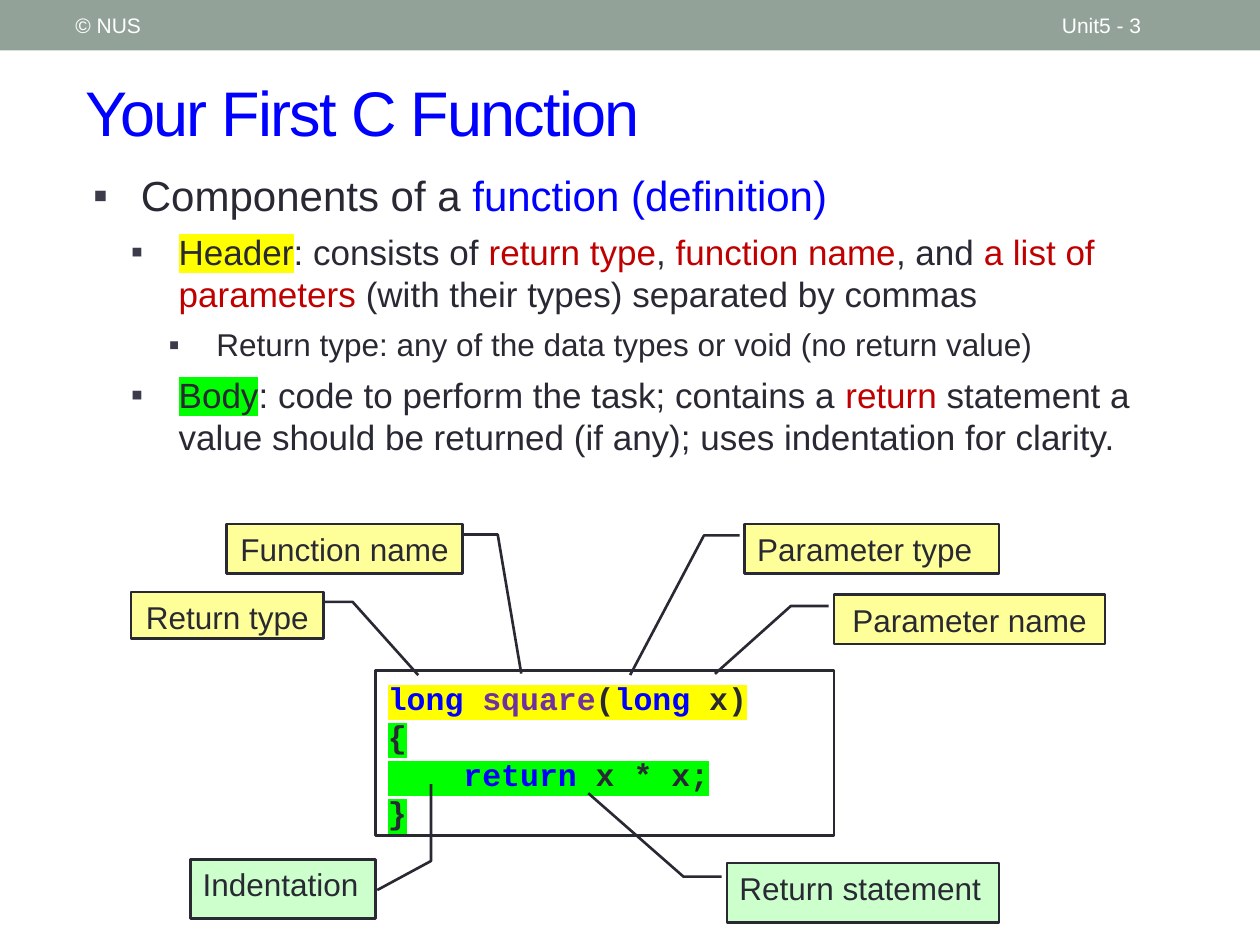
import lxml.etree
import pptx
import pptx.dml.color
import pptx.enum.shapes
import pptx.enum.text
import pptx.oxml.ns
import pptx.util

Inches = pptx.util.Inches
Pt = pptx.util.Pt
RGBColor = pptx.dml.color.RGBColor
Shape = pptx.enum.shapes.MSO_SHAPE
Anchor = pptx.enum.text.MSO_ANCHOR
Align = pptx.enum.text.PP_ALIGN
qn = pptx.oxml.ns.qn

COLORS = {
    "bar": "93A299", "white": "FFFFFF", "text": "292934", "bullet": "3B3B4B",
    "blue": "0000FF", "red": "C00000", "purple": "7030A0",
    "yellow": "FFFF00", "green": "00FF00",
    "header_label": "FFFF99", "body_label": "CCFFCC",
}


def add_runs(paragraph, runs):
    for text, color, *highlight in runs:
        run = paragraph.add_run()
        run.text = text
        run.font.color.rgb = RGBColor.from_string(COLORS[color])
        if highlight:
            mark = lxml.etree.SubElement(run.font._element, qn("a:highlight"))
            lxml.etree.SubElement(mark, qn("a:srgbClr"), val=COLORS[highlight[0]])


def add_box(preset, left, top, width, height, fill):
    shape = slide.shapes.add_shape(
        preset, Inches(left), Inches(top), Inches(width), Inches(height))
    shape.shadow.inherit = False
    shape.fill.solid()
    shape.fill.fore_color.rgb = RGBColor.from_string(COLORS[fill])
    shape.line.color.rgb = RGBColor.from_string(COLORS["text"])
    shape.line.width = Pt(1.5)
    shape.text_frame.word_wrap = True
    shape.text_frame.vertical_anchor = Anchor.TOP
    return shape


presentation = pptx.Presentation()
presentation.slide_width = Inches(10)
presentation.slide_height = Inches(7.5)
slide = presentation.slides.add_slide(presentation.slide_layouts[5])

bar = add_box(Shape.RECTANGLE, 0, 0, 10, 0.4, "bar")
bar.line.fill.background()

title = slide.shapes.title
title.left, title.top = Inches(0.58), Inches(0.42)
title.width, title.height = Inches(9.17), Inches(0.92)
title.text_frame.vertical_anchor = Anchor.MIDDLE
paragraph = title.text_frame.paragraphs[0]
paragraph.alignment = Align.LEFT
paragraph.font.size = Pt(36)
paragraph.font.name = "Arial"
add_runs(paragraph, [("Your First C Function", "blue")])
paragraph.runs[0].font._element.set("spc", "-100")

for text, left, width in [("Unit5 - 3", 8.33, 1.17), ("© NUS", 0.5, 3.17)]:
    box = slide.shapes.add_textbox(
        Inches(left), Inches(0.02), Inches(width), Inches(0.36))
    box.text_frame.word_wrap = True
    box.text_frame.vertical_anchor = Anchor.MIDDLE
    paragraph = box.text_frame.paragraphs[0]
    paragraph.font.size = Pt(12)
    paragraph.font.name = "Arial"
    add_runs(paragraph, [(text, "white")])

outline = [
    (0, 24, [("Components of a ", "text"), ("function (definition)", "blue")]),
    (1, 20, [("Header", "text", "yellow"), (": consists of ", "text"),
             ("return type", "red"), (", ", "text"),
             ("function name", "red"), (", and ", "text"),
             ("a list of parameters ", "red"),
             ("(with their types) separated by commas", "text")]),
    (2, 18, [("Return type: any of the data types or void (no return value)",
              "text")]),
    (1, 20, [("Body", "text", "green"),
             (": code to perform the task; contains a ", "text"),
             ("return", "red"),
             (" statement a value should be returned (if any); "
              "uses indentation for clarity.", "text")]),
]
body = slide.shapes.add_textbox(Inches(0.64), Inches(1.3), Inches(9), Inches(3.7))
body.text_frame.word_wrap = True
for index, (level, size, runs) in enumerate(outline):
    paragraph = body.text_frame.paragraphs[0]
    if index:
        paragraph = body.text_frame.add_paragraph()
        paragraph.space_before = Pt(6)
    paragraph.level = level
    properties = paragraph._p.get_or_add_pPr()
    properties.set("marL", str(Inches(0.38 + 0.3 * level)))
    properties.set("indent", str(Inches(-0.38)))
    bullet_color = lxml.etree.SubElement(properties, qn("a:buClr"))
    lxml.etree.SubElement(bullet_color, qn("a:srgbClr"), val=COLORS["bullet"])
    lxml.etree.SubElement(properties, qn("a:buFont"), typeface="Arial")
    lxml.etree.SubElement(properties, qn("a:buChar"), char="▪")
    paragraph.font.size = Pt(size)
    paragraph.font.name = "Arial"
    add_runs(paragraph, runs)

code_lines = [
    [("long ", "blue", "yellow"), ("square", "purple", "yellow"),
     ("(", "text", "yellow"), ("long ", "blue", "yellow"),
     ("x)", "text", "yellow")],
    [("{", "text", "green")],
    [("    ", "text", "green"), ("return", "blue", "green"),
     (" x * x;", "text", "green")],
    [("}", "text", "green")],
]
code = add_box(Shape.RECTANGLE, 2.98, 5.32, 3.64, 1.31, "white")
code.text_frame.margin_top = Inches(0.07)
for index, runs in enumerate(code_lines):
    paragraph = (code.text_frame.add_paragraph() if index
                 else code.text_frame.paragraphs[0])
    paragraph.alignment = Align.LEFT
    paragraph.line_spacing = Pt(21.7)
    paragraph.font.size = Pt(18)
    paragraph.font.name = "Courier New"
    paragraph.font.bold = True
    add_runs(paragraph, runs)

callouts = [
    ("Return type", 1.04, 4.7, 1.53, 0.37, "header_label", Align.CENTER,
     [0.21, 1, 0.21, 1.15, 1.78, 1.49]),
    ("Parameter name", 6.62, 4.72, 2.15, 0.39, "header_label", Align.CENTER,
     [0.23, -0.02, 0.23, -0.16, 1.61, -0.44]),
    ("Function name", 1.8, 4.16, 1.87, 0.39, "header_label", Align.CENTER,
     [0.21, 1, 0.21, 1.15, 3.04, 1.25]),
    ("Parameter type", 5.91, 4.16, 2.02, 0.39, "header_label", Align.LEFT,
     [0.23, -0.02, 0.23, -0.16, 3.07, -0.45]),
    ("Indentation", 1.51, 6.82, 1.47, 0.47, "body_label", Align.LEFT,
     [0.52, 1.01, 0.03, 1.3, -1.27, 1.3]),
    ("Return statement", 5.77, 6.85, 2.16, 0.47, "body_label", Align.LEFT,
     [0.23, -0.02, 0.23, -0.16, -1.18, -0.51]),
]
for text, left, top, width, height, fill, alignment, leader in callouts:
    callout = add_box(Shape.LINE_CALLOUT_2, left, top, width, height, fill)
    for index, value in enumerate(leader):
        callout.adjustments[index] = value
    paragraph = callout.text_frame.paragraphs[0]
    paragraph.alignment = alignment
    paragraph.font.size = Pt(18)
    paragraph.font.name = "Arial"
    add_runs(paragraph, [(text, "text")])

presentation.save("out.pptx")
